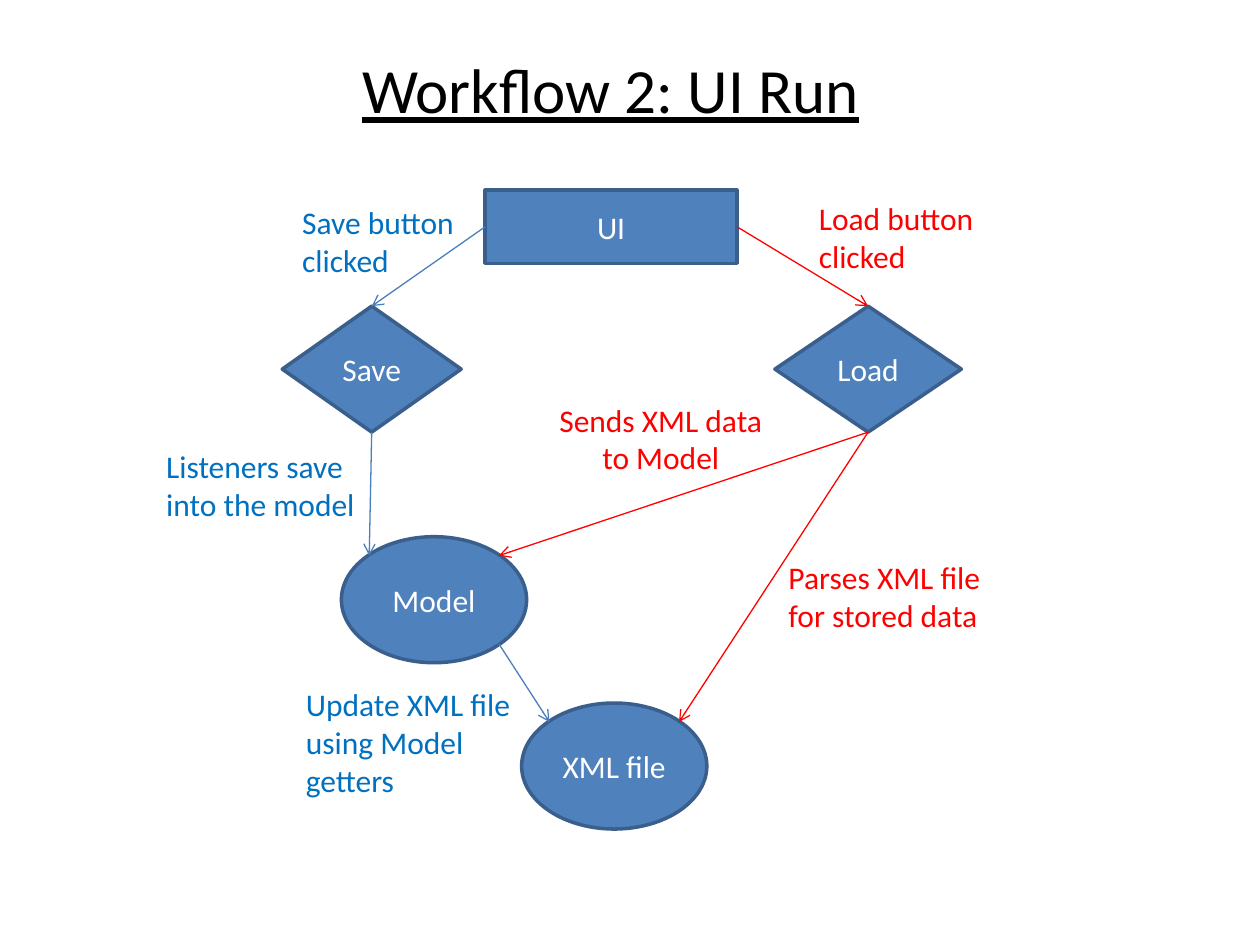
from lxml import etree
from pptx import Presentation
from pptx.dml.color import RGBColor
from pptx.enum import shapes, text
from pptx.oxml.ns import qn
from pptx.util import Inches, Pt

COLORS = {
    "fill": "4F81BD", "outline": "3A5F8C", "arrow": "4B7EBC",
    "save": "0070C0", "load": "FF0000", "white": "FFFFFF", "black": "000000",
}
FONT = "Calibri"
KIND = shapes.MSO_SHAPE
ALIGN = text.PP_ALIGN

# Name: kind, box (left, top, width, height), label
NODES = {
    "ui": (KIND.RECTANGLE, (3.85, 1.51, 2, 0.58), "UI"),
    "save": (KIND.DIAMOND, (2.24, 2.43, 1.42, 1), "Save"),
    "load": (KIND.DIAMOND, (6.15, 2.43, 1.48, 1), "Load"),
    "model": (KIND.OVAL, (2.71, 4.26, 1.47, 1), "Model"),
    "file": (KIND.OVAL, (4.14, 5.58, 1.47, 1), "XML file"),
}

# Points on a node as fractions of its box; diagonals lie on the ellipse
NEAR, FAR = 0.15, 0.85
SITES = {
    "top": (0.5, 0), "bottom": (0.5, 1), "left": (0, 0.5), "right": (1, 0.5),
    "top left": (NEAR, NEAR), "top right": (FAR, NEAR), "bottom right": (FAR, FAR),
}

# Start node and site, end node and site, colour
ARROWS = [
    ("ui", "left", "save", "top", "arrow"),
    ("save", "bottom", "model", "top left", "arrow"),
    ("model", "bottom right", "file", "top left", "arrow"),
    ("ui", "right", "load", "top", "load"),
    ("load", "bottom", "model", "top right", "load"),
    ("load", "bottom", "file", "top right", "load"),
]

# Box, lines, colour, alignment
NOTES = [
    ((2.3, 1.56, 1.48, 0.71), ["Save button ", "clicked"], "save", ALIGN.LEFT),
    ((1.22, 3.5, 1.72, 0.71), ["Listeners save ", "into the model"], "save", ALIGN.LEFT),
    ((2.33, 5.39, 1.84, 1.01), ["Update XML file", "using Model", "getters"], "save", ALIGN.LEFT),
    ((6.4, 1.53, 1.51, 0.71), ["Load button ", "clicked"], "load", ALIGN.LEFT),
    ((4.33, 3.13, 1.83, 0.71), ["Sends XML data", "to Model"], "load", ALIGN.CENTER),
    ((6.16, 4.38, 1.74, 0.71), ["Parses XML file", "for stored data"], "load", ALIGN.LEFT),
]


def color(name):
    return RGBColor.from_string(COLORS[name])


def write(frame, lines, color_name, align, size=18, underline=None):
    for index, line in enumerate(lines):
        paragraph = frame.add_paragraph() if index else frame.paragraphs[0]
        paragraph.text = line
        paragraph.alignment = align
        paragraph.font.name = FONT
        paragraph.font.size = Pt(size)
        paragraph.font.underline = underline
        paragraph.font.color.rgb = color(color_name)


def add_text(slide, box, lines, color_name, align, wrap=False, **style):
    frame = slide.shapes.add_textbox(*map(Inches, box)).text_frame
    frame.word_wrap = wrap
    frame.auto_size = text.MSO_AUTO_SIZE.SHAPE_TO_FIT_TEXT
    write(frame, lines, color_name, align, **style)


def add_node(slide, kind, box, label):
    shape = slide.shapes.add_shape(kind, *map(Inches, box))
    shape.shadow.inherit = False
    shape.fill.solid()
    shape.fill.fore_color.rgb = color("fill")
    shape.line.color.rgb = color("outline")
    shape.line.width = Pt(2)
    shape.text_frame.vertical_anchor = text.MSO_ANCHOR.MIDDLE
    write(shape.text_frame, [label], "white", ALIGN.CENTER)


def site_point(node, site):
    left, top, width, height = NODES[node][1]
    across, down = SITES[site]
    return Inches(left + across * width), Inches(top + down * height)


def add_arrow(slide, start, start_site, end, end_site, color_name):
    connector = slide.shapes.add_connector(
        shapes.MSO_CONNECTOR.STRAIGHT,
        *site_point(start, start_site), *site_point(end, end_site))
    connector.line.color.rgb = color(color_name)
    connector.line.width = Pt(0.75)
    properties = connector.line._get_or_add_ln()
    etree.SubElement(properties, qn("a:tailEnd"), type="arrow")
    etree.SubElement(connector._element.spPr, qn("a:effectLst"))


def build_workflow(slide):
    # Title
    add_text(slide, (2.07, 0.35, 5.55, 0.71), ["Workflow 2: UI Run"], "black",
             ALIGN.CENTER, wrap=True, size=36, underline=True)
    # Nodes
    for node in NODES.values():
        add_node(slide, *node)
    # Arrows
    for arrow in ARROWS:
        add_arrow(slide, *arrow)
    # Step notes
    for note in NOTES:
        add_text(slide, *note)


presentation = Presentation()
presentation.slide_width = Inches(10)
presentation.slide_height = Inches(7.5)
build_workflow(presentation.slides.add_slide(presentation.slide_layouts[6]))
presentation.save("out.pptx")
